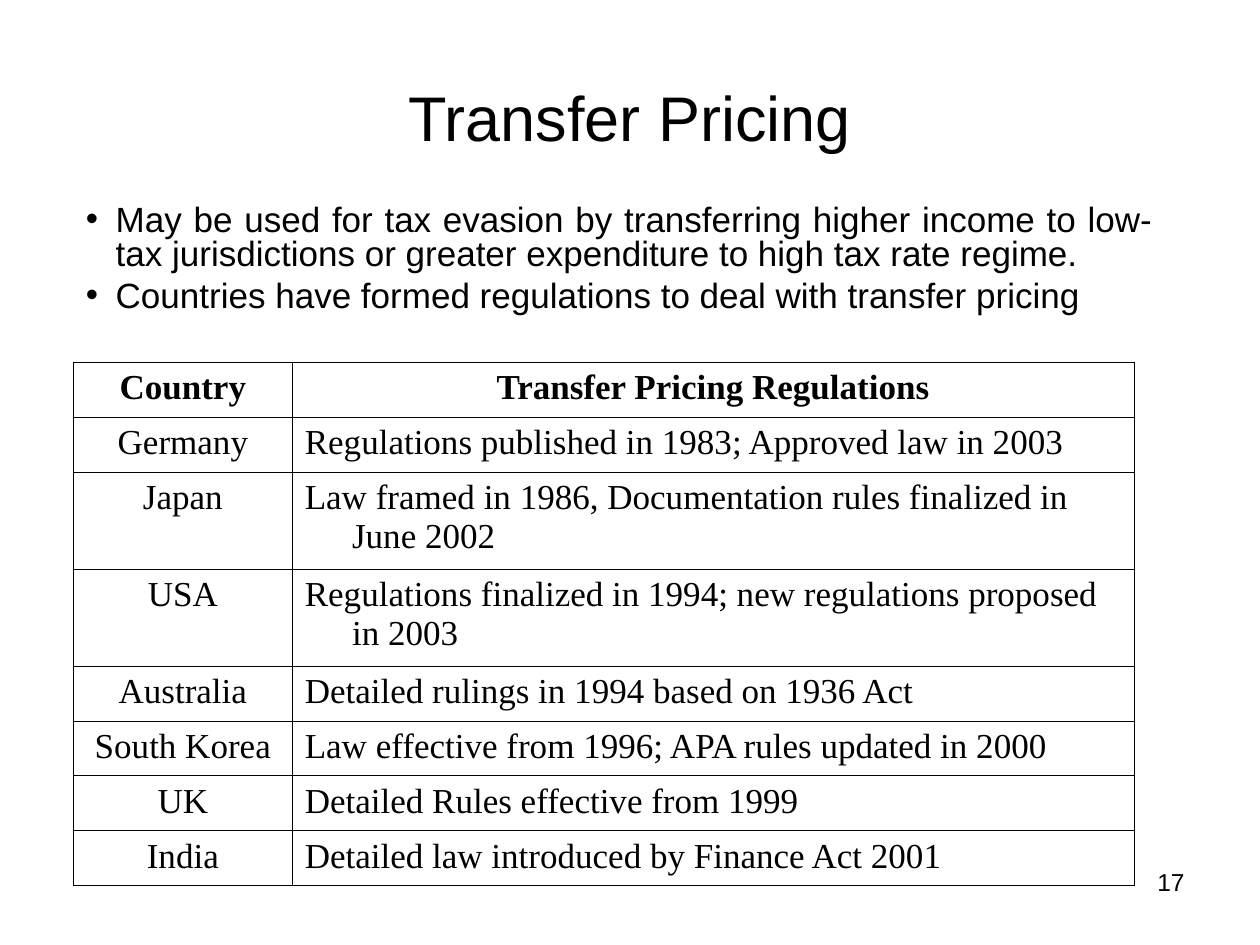
from lxml import etree
from pptx import Presentation
from pptx.dml.color import RGBColor
from pptx.enum import text
from pptx.oxml.ns import qn
from pptx.util import Pt

BLACK = "000000"
BORDER_WIDTH = 0.45
BULLET_INDENT = 17
HANGING_INDENT = 27
COLUMN_WIDTHS = (125, 481)
LINE_HEIGHT, TWO_LINE_HEIGHT = 31.4, 55.4

BULLETS = (
    "May be used for tax evasion by transferring higher income to low-tax "
    "jurisdictions or greater expenditure to high tax rate regime. ",
    "Countries have formed regulations to deal with transfer pricing",
)
REGULATIONS = (
    ("Country", "Transfer Pricing Regulations"),
    ("Germany", "Regulations published in 1983; Approved law in 2003"),
    ("Japan", "Law framed in 1986, Documentation rules finalized in June 2002"),
    ("USA", "Regulations finalized in 1994; new regulations proposed in 2003"),
    ("Australia", "Detailed rulings in 1994 based on 1936 Act"),
    ("South Korea", "Law effective from 1996; APA rules updated in 2000"),
    ("UK", "Detailed Rules effective from 1999"),
    ("India", "Detailed law introduced by Finance Act 2001"),
)
TWO_LINE_COUNTRIES = ("Japan", "USA")


def color(value):
    return RGBColor.from_string(value)


def write(paragraph, content, size, align, font="Arial", bold=False):
    paragraph.alignment = align
    run = paragraph.add_run()
    run.text = content
    formats = {"name": font, "size": Pt(size), "bold": bold}
    for name, value in formats.items():
        setattr(run.font, name, value)
    run.font.color.rgb = color(BLACK)


def add_text_frame(slide, left, top, width, height, anchor=text.MSO_ANCHOR.TOP):
    frame = slide.shapes.add_textbox(
        Pt(left), Pt(top), Pt(width), Pt(height)).text_frame
    frame.word_wrap = True
    frame.vertical_anchor = anchor
    return frame


def set_indent(paragraph, points):
    properties = paragraph._p.get_or_add_pPr()
    properties.set("marL", str(Pt(points)))
    properties.set("indent", str(-Pt(points)))
    return properties


def add_bullets(frame, items):
    for number, item in enumerate(items):
        paragraph = frame.add_paragraph() if number else frame.paragraphs[0]
        write(paragraph, item, 20, text.PP_ALIGN.JUSTIFY)
        paragraph.line_spacing = 0.8
        paragraph.space_before = Pt(5)
        properties = set_indent(paragraph, BULLET_INDENT)
        bullet_color = etree.SubElement(properties, qn("a:buClr"))
        etree.SubElement(bullet_color, qn("a:srgbClr"), val=BLACK)
        etree.SubElement(properties, qn("a:buFont"), typeface="Arial")
        etree.SubElement(properties, qn("a:buChar"), char="•")


def set_borders(cell):
    properties = cell._tc.get_or_add_tcPr()
    for position, side in enumerate(("lnL", "lnR", "lnT", "lnB")):
        border = etree.Element(qn(f"a:{side}"), w=str(Pt(BORDER_WIDTH)))
        fill = etree.SubElement(border, qn("a:solidFill"))
        etree.SubElement(fill, qn("a:srgbClr"), val=BLACK)
        properties.insert(position, border)


def add_regulations_table(slide, left, top):
    heights = [TWO_LINE_HEIGHT if country in TWO_LINE_COUNTRIES else LINE_HEIGHT
               for country, _ in REGULATIONS]
    table = slide.shapes.add_table(
        len(REGULATIONS), len(COLUMN_WIDTHS), Pt(left), Pt(top),
        Pt(sum(COLUMN_WIDTHS)), Pt(sum(heights))).table
    table.first_row = table.horz_banding = False
    for column, width in zip(table.columns, COLUMN_WIDTHS):
        column.width = Pt(width)
    for r, (entries, height) in enumerate(zip(REGULATIONS, heights)):
        table.rows[r].height = Pt(height)
        for c, entry in enumerate(entries):
            cell = table.cell(r, c)
            cell.fill.background()
            set_borders(cell)
            header = r == 0
            centered = header or c == 0
            align = text.PP_ALIGN.CENTER if centered else text.PP_ALIGN.LEFT
            paragraph = cell.text_frame.paragraphs[0]
            write(paragraph, entry, 20, align, "Times New Roman", header)
            set_indent(paragraph, HANGING_INDENT)


def main():
    deck = Presentation()
    deck.slide_width, deck.slide_height = Pt(720), Pt(540)
    slide = deck.slides.add_slide(deck.slide_layouts[6])

    # Slide number
    number = add_text_frame(slide, 516, 492, 168, 37.5)
    write(number.paragraphs[0], "17", 14, text.PP_ALIGN.RIGHT)

    # Title
    title = add_text_frame(slide, 36, 21.6, 648, 90, text.MSO_ANCHOR.MIDDLE)
    write(title.paragraphs[0], "Transfer Pricing", 36, text.PP_ALIGN.CENTER)

    # Regulations by country
    add_regulations_table(slide, 42, 207)

    # Introductory points
    add_bullets(add_text_frame(slide, 42, 114, 624, 70), BULLETS)

    deck.save("out.pptx")


if __name__ == "__main__":
    main()
